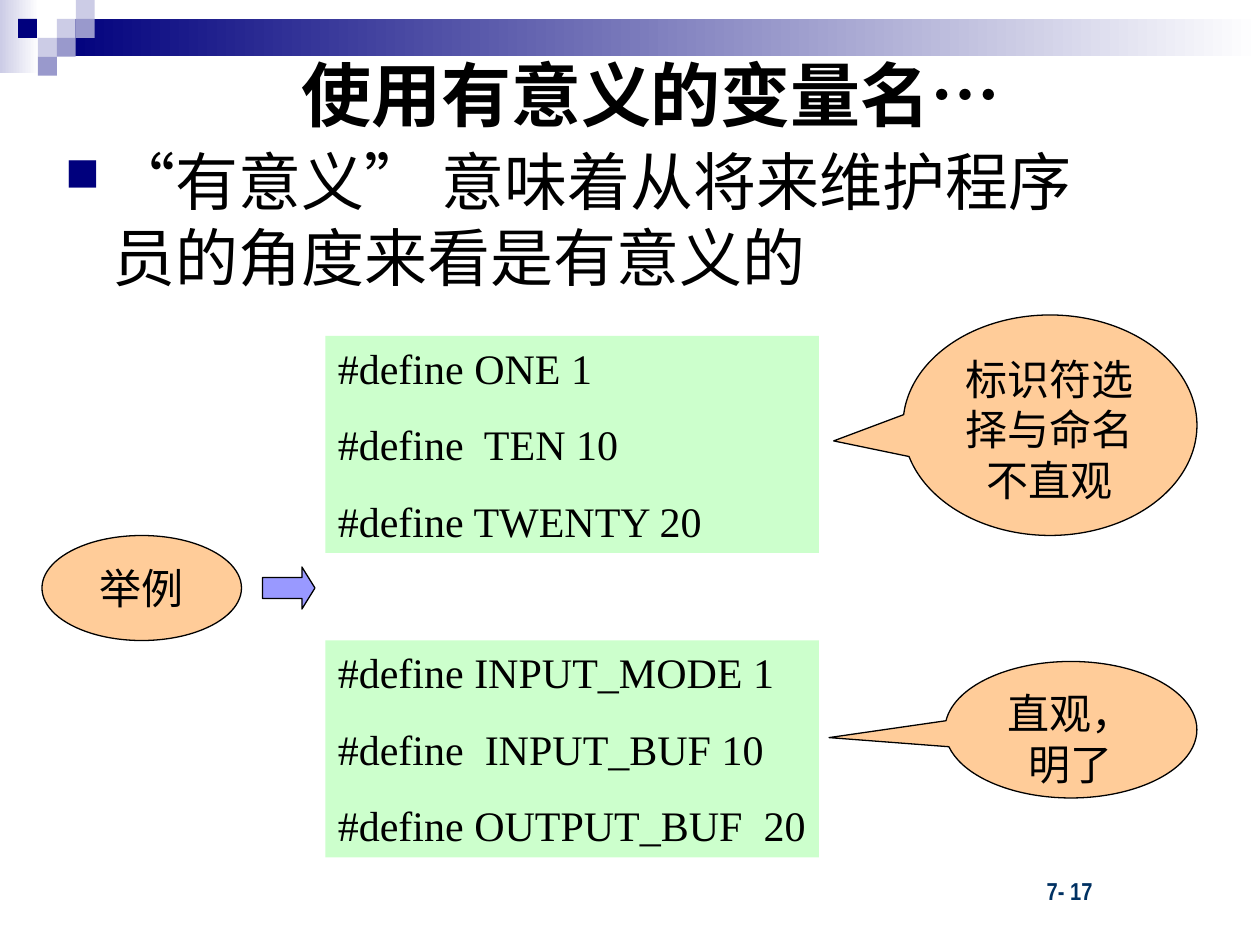
from lxml import etree
from pptx import Presentation
from pptx.dml.color import RGBColor
from pptx.enum.lang import MSO_LANGUAGE_ID
from pptx.enum.shapes import MSO_SHAPE
from pptx.enum.text import MSO_ANCHOR, MSO_AUTO_SIZE, PP_ALIGN
from pptx.oxml.ns import qn
from pptx.util import Pt

RECT, OVAL = MSO_SHAPE.RECTANGLE, MSO_SHAPE.OVAL
CALLOUT, ARROW = MSO_SHAPE.OVAL_CALLOUT, MSO_SHAPE.RIGHT_ARROW
LEFT, CENTER = PP_ALIGN.LEFT, PP_ALIGN.CENTER
TOP, MIDDLE = MSO_ANCHOR.TOP, MSO_ANCHOR.MIDDLE
GROW = MSO_AUTO_SIZE.SHAPE_TO_FIT_TEXT
CHINESE = MSO_LANGUAGE_ID.SIMPLIFIED_CHINESE

BLACK = RGBColor(0, 0, 0)
WHITE = RGBColor(255, 255, 255)
NAVY = RGBColor(0, 0, 0x7D)
PALE = RGBColor(0xCC, 0xCC, 0xE6)
MID = RGBColor(0x99, 0x99, 0xCC)
INK = RGBColor(0, 0x31, 0x62)
PEACH = RGBColor(0xFF, 0xCC, 0x99)
GREEN = RGBColor(0xCC, 0xFF, 0xCC)
VIOLET = RGBColor(0x99, 0x99, 0xFF)

SERIF, SANS, NARROW = "Times New Roman", "Arial", "Arial Narrow"

# Content
TITLE = "使用有意义的变量名…"
POINT = "“有意义” 意味着从将来维护程序员的角度来看是有意义的"
LABEL = "举例"
PAGE = "7- 17"
CODES = [
    (192, ["#define ONE 1", "#define  TEN 10", "#define TWENTY 20"]),
    (366, ["#define INPUT_MODE 1", "#define  INPUT_BUF 10",
           "#define OUTPUT_BUF  20"]),
]
NOTES = [  # text, box, tip of the tail
    ("标识符选择与命名不直观", (516, 180, 168, 126), (-0.736, 0.071)),
    ("直观，明了", (540, 378, 144, 78), (-0.96, 0.058)),
]

# Header pattern: fading bars, then squares as column, row, colour
BARS = [((0, 0, 22.3, 41.8), PALE), ((32.5, 10.8, 687.5, 21.4), NAVY)]
TILE = 10.8
TILES = [(2, 1, PALE), (3, 0, PALE), (3, 1, MID), (1, 2, PALE),
         (0, 1, NAVY), (2, 2, MID), (1, 3, MID)]

deck = Presentation()
deck.slide_width, deck.slide_height = Pt(720), Pt(540)
slide = deck.slides.add_slide(deck.slide_layouts[6])


def draw(kind, box, color, line=False):
    shape = slide.shapes.add_shape(kind, *map(Pt, box))
    shape.shadow.inherit = False
    shape.fill.solid()
    shape.fill.fore_color.rgb = color
    if line:
        shape.line.color.rgb = BLACK
        shape.line.width = Pt(0.75)
    else:
        shape.line.fill.background()
    return shape


def write(shape, lines, size, face, align=LEFT, anchor=TOP, color=BLACK,
          bold=False, before=0, wrap=True):
    frame = shape.text_frame
    frame.word_wrap = wrap
    frame.vertical_anchor = anchor
    for i, text in enumerate(lines):
        para = frame.add_paragraph() if i else frame.paragraphs[0]
        para.alignment = align
        para.space_before = Pt(before)
        run = para.add_run()
        run.text = text
        font = run.font
        font.size, font.name, font.bold = Pt(size), face, bold
        font.color.rgb = color
        font.language_id = CHINESE
    return frame


def label(box, text, *args, **style):
    shape = slide.shapes.add_textbox(*map(Pt, box))
    return write(shape, [text], *args, **style).paragraphs[0]


def indent(para, left, first=0):
    props = para._p.get_or_add_pPr()
    props.set("marL", str(Pt(left)))
    props.set("indent", str(Pt(first)))
    return props


# Header pattern
for box, color in BARS:
    fill = draw(RECT, box, color).fill
    fill.gradient()
    fill.gradient_angle = 0
    for stop, tone in zip(fill.gradient_stops, (color, WHITE)):
        stop.color.rgb = tone
for col, row, color in TILES:
    left = 21.7 + (col - 1) * TILE if col else 10.3
    draw(RECT, (left, row * TILE, TILE, TILE), color)

# Page number, title and bullet point
page = label((524, 497, 150, 24), PAGE, 14, NARROW, color=INK, bold=True)
indent(page, 67)
label((24, 26, 696, 54), TITLE, 40, SANS, align=CENTER, bold=True)
point = label((30, 78, 601, 207), POINT, 36, SANS, before=9)
props = indent(point, 27, -27)
tint = etree.SubElement(props, qn("a:buClr"))
etree.SubElement(tint, qn("a:srgbClr")).set("val", str(NAVY))
etree.SubElement(props, qn("a:buSzPct")).set("val", "75000")
etree.SubElement(props, qn("a:buChar")).set("char", "■")

# Example label and arrow
write(draw(OVAL, (24, 306, 114, 60), PEACH, True), [LABEL], 24, SERIF,
      CENTER, MIDDLE, wrap=False)
arrow = draw(ARROW, (150, 324, 30, 24), VIOLET, True)
arrow.adjustments[1] = 0.31

# Code boxes
for top, lines in CODES:
    shape = draw(RECT, (186, top, 282, 124), GREEN)
    write(shape, lines, 24, SERIF, before=15).auto_size = GROW

# Comments on the code
for text, box, tip in NOTES:
    shape = draw(CALLOUT, box, PEACH, True)
    for i, value in enumerate(tip):
        shape.adjustments[i] = value
    write(shape, [text], 24, SERIF, CENTER)

deck.save("out.pptx")
